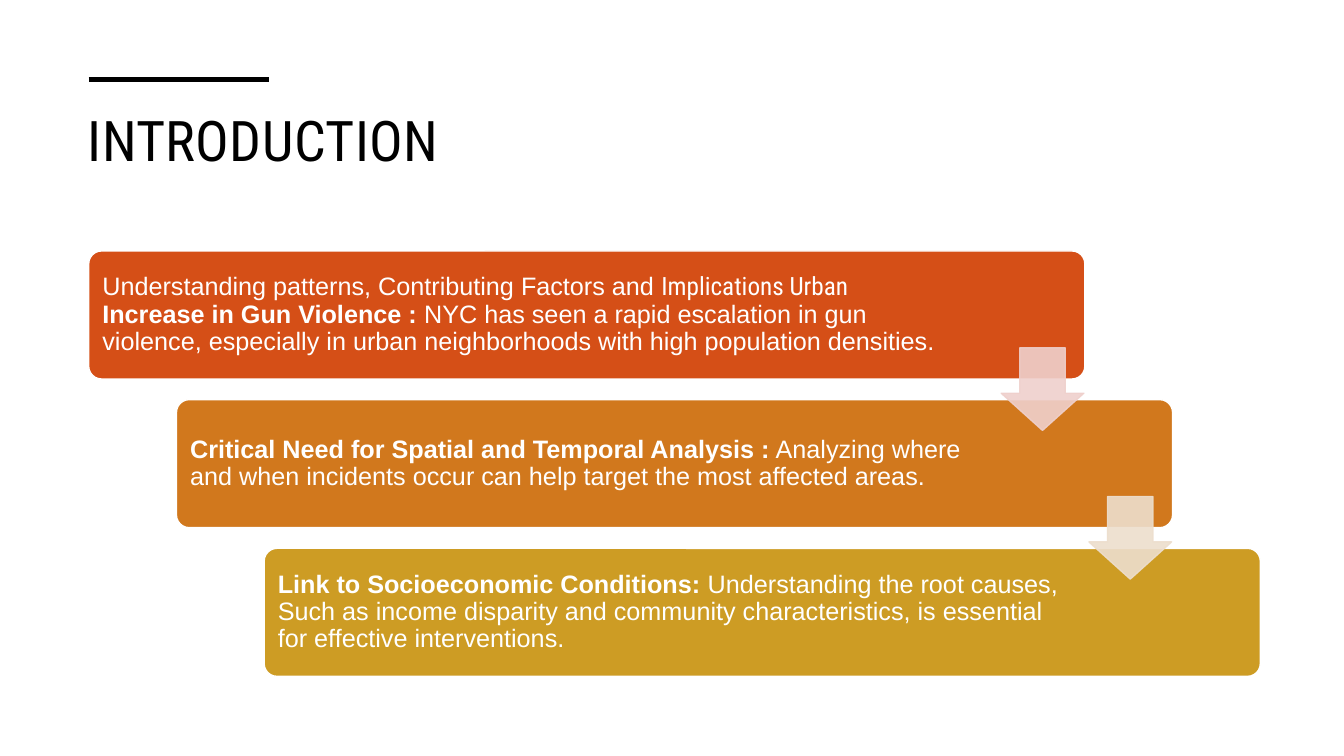
import dataclasses

import lxml.etree
import pptx
import pptx.dml.color
import pptx.enum.shapes
import pptx.enum.text
import pptx.oxml.ns
import pptx.util

RGBColor = pptx.dml.color.RGBColor
Inches = pptx.util.Inches
Shapes = pptx.enum.shapes.MSO_SHAPE

BLACK = RGBColor(0x00, 0x00, 0x00)
WHITE = RGBColor(0xFF, 0xFF, 0xFF)
RED_ORANGE = RGBColor(0xD5, 0x4F, 0x17)
ORANGE = RGBColor(0xD1, 0x78, 0x1D)
GOLD = RGBColor(0xCD, 0x9C, 0x24)
PALE_PINK = RGBColor(0xEF, 0xD0, 0xCC)
PALE_SAND = RGBColor(0xED, 0xDE, 0xCD)

BODY_FONT = "Arial"
HEADING_FONT = "Roboto Condensed"

# Staircase grid, in inches: each card moves one column right and one row down
GRID_LEFT, GRID_TOP = 0.88, 2.49
COLUMN, ROW = 0.87, 2.95 / 2
CARD_WIDTH, CARD_HEIGHT = 9.88, 1.27
ARROW_SIZE = 0.82
ARROW_DX, ARROW_DY = 9.05, 0.96


@dataclasses.dataclass(frozen=True)
class Phrase:
    text: str
    bold: bool = False
    font: str = BODY_FONT


@dataclasses.dataclass(frozen=True)
class Card:
    fill: RGBColor
    right_inset: float
    phrases: tuple[Phrase, ...]
    arrow: RGBColor | None = None


CARDS = (
    Card(RED_ORANGE, 1.4, (
        Phrase("Understanding patterns, Contributing Factors and "),
        Phrase("Implications Urban", font=HEADING_FONT),
        Phrase(" Increase in Gun Violence :", bold=True),
        Phrase(" NYC has seen a rapid escalation in gun violence, especially in "
               "urban neighborhoods with high population densities."),
    ), PALE_PINK),
    Card(ORANGE, 1.81, (
        Phrase("Critical Need for Spatial and Temporal Analysis :", bold=True),
        Phrase(" Analyzing where and when incidents occur can help target the "
               "most affected areas."),
    ), PALE_SAND),
    Card(GOLD, 1.81, (
        Phrase("Link to Socioeconomic Conditions:", bold=True),
        Phrase(" Understanding the root causes, Such as income disparity and "
               "community characteristics, is essential for effective "
               "interventions."),
    )),
)


def add_block(slide, kind, left: float, top: float, width: float, height: float,
              fill: RGBColor, line: RGBColor):
    block = slide.shapes.add_shape(
        kind, Inches(left), Inches(top), Inches(width), Inches(height))
    block.shadow.inherit = False
    block.fill.solid()
    block.fill.fore_color.rgb = fill
    block.line.color.rgb = line
    block.line.width = pptx.util.Pt(1)
    return block


def add_title(slide) -> None:
    title = slide.shapes.title
    title.left, title.top = Inches(0.77), Inches(1)
    title.width, title.height = Inches(11.81), Inches(1.15)
    title.text_frame.vertical_anchor = pptx.enum.text.MSO_ANCHOR.TOP
    para = title.text_frame.paragraphs[0]
    para.alignment = pptx.enum.text.PP_ALIGN.LEFT
    para.font.name = HEADING_FONT
    para.font.size = pptx.util.Pt(40)
    para.font.color.rgb = BLACK
    span = para.add_run()
    span.text = "INTRODUCTION"
    span._r.get_or_add_rPr().set("spc", "30")


def add_title_rule(slide) -> None:
    rule = slide.shapes.add_connector(
        pptx.enum.shapes.MSO_CONNECTOR.STRAIGHT,
        Inches(GRID_LEFT), Inches(0.79), Inches(2.67), Inches(0.79))
    rule.line.color.rgb = BLACK
    rule.line.width = pptx.util.Pt(3.5)
    lxml.etree.SubElement(rule._element.spPr, pptx.oxml.ns.qn("a:effectLst"))


def add_card(slide, card: Card, left: float, top: float) -> None:
    box = add_block(slide, Shapes.ROUNDED_RECTANGLE, left, top,
                    CARD_WIDTH, CARD_HEIGHT, card.fill, WHITE)
    box.adjustments[0] = 0.1
    frame = box.text_frame
    frame.word_wrap = True
    frame.vertical_anchor = pptx.enum.text.MSO_ANCHOR.MIDDLE
    frame.margin_left = frame.margin_top = frame.margin_bottom = Inches(0.1)
    frame.margin_right = Inches(card.right_inset)
    para = frame.paragraphs[0]
    para.alignment = pptx.enum.text.PP_ALIGN.LEFT
    para.line_spacing = 0.9
    para.font.size = pptx.util.Pt(18)
    para.font.color.rgb = WHITE
    for phrase in card.phrases:
        span = para.add_run()
        span.text = phrase.text
        span.font.name = phrase.font
        span.font.bold = phrase.bold


def add_arrow(slide, color: RGBColor, left: float, top: float) -> None:
    arrow = add_block(slide, Shapes.DOWN_ARROW, left, top,
                      ARROW_SIZE, ARROW_SIZE, color, color)
    arrow.adjustments[0] = 0.55
    arrow.adjustments[1] = 0.45
    # Fill and outline are 90% opaque
    for tint in arrow._element.spPr.iter(pptx.oxml.ns.qn("a:srgbClr")):
        lxml.etree.SubElement(tint, pptx.oxml.ns.qn("a:alpha"), val="90000")


def main() -> None:
    deck = pptx.Presentation()
    deck.slide_width, deck.slide_height = Inches(13.33), Inches(7.5)
    page = deck.slides.add_slide(deck.slide_layouts.get_by_name("Title Only"))

    # Heading
    add_title_rule(page)
    add_title(page)

    # Cards first, so that the arrows lie on top
    places = [(card, GRID_LEFT + step * COLUMN, GRID_TOP + step * ROW)
              for step, card in enumerate(CARDS)]
    for card, left, top in places:
        add_card(page, card, left, top)
    for card, left, top in places:
        if card.arrow is not None:
            add_arrow(page, card.arrow, left + ARROW_DX, top + ARROW_DY)

    deck.save("out.pptx")


if __name__ == "__main__":
    main()
